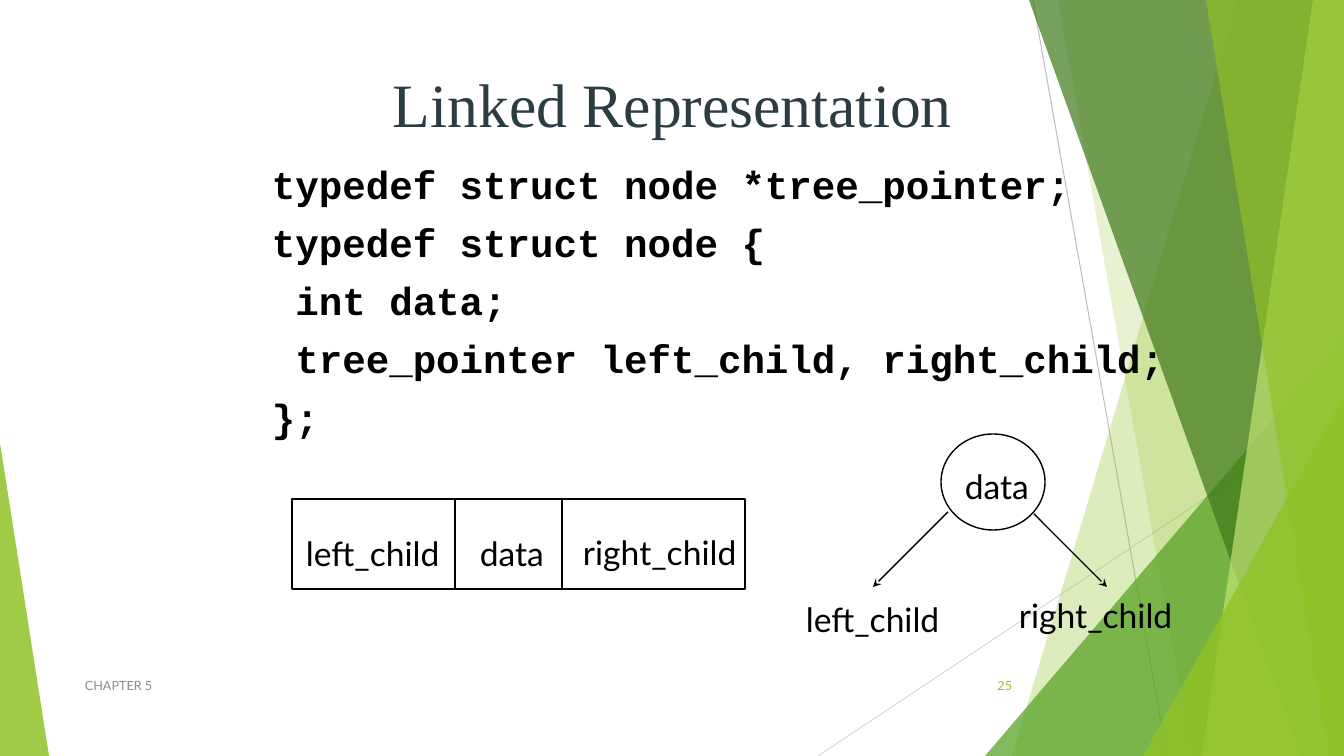
from dataclasses import dataclass

from lxml import etree
from pptx import Presentation
from pptx.dml.color import RGBColor
from pptx.enum.shapes import MSO_CONNECTOR, MSO_SHAPE
from pptx.enum.text import MSO_ANCHOR, MSO_AUTO_SIZE, PP_ALIGN
from pptx.oxml.ns import qn
from pptx.util import Pt

STRAIGHT = MSO_CONNECTOR.STRAIGHT
TRIANGLE, RECTANGLE, OVAL = MSO_SHAPE.ISOSCELES_TRIANGLE, MSO_SHAPE.RECTANGLE, MSO_SHAPE.OVAL
LEFT, CENTER, RIGHT = PP_ALIGN.LEFT, PP_ALIGN.CENTER, PP_ALIGN.RIGHT
TOP, MIDDLE = MSO_ANCHOR.TOP, MSO_ANCHOR.MIDDLE
EMU_PER_PX = 914400 / 100.8
WIDTH, HEIGHT = 1344, 756


@dataclass(frozen=True)
class Theme:
    ink: str = "000000"
    heading: str = "2C3C43"
    footer: str = "8C8C8C"
    lime: str = "90C226"
    green: str = "54A021"
    forest: str = "3F7819"
    pale: str = "C0E474"
    light_rule: str = "D9D9D9"
    dark_rule: str = "BFBFBF"
    body_font: str = "Lato"
    title_font: str = "Times New Roman"
    code_font: str = "Courier New"
    title_size: int = 44
    code_size: int = 28
    label_size: int = 24
    footer_size: int = 9


THEME = Theme()

TITLE = "Linked Representation"
CODE = [
    "typedef struct node *tree_pointer;",
    "typedef struct node {",
    " int data;",
    " tree_pointer left_child, right_child;",
    "};",
]
FOOTER, PAGE_NUMBER = "CHAPTER 5", "25"

# start x, start y, end x, end y, colour
BACKDROP_RULES = [
    (1033, 0, 1167, HEIGHT, THEME.dark_rule),
    (WIDTH, 406, 818, HEIGHT, THEME.light_rule),
]
# Bands run down the right edge: x at the top, x at the bottom, colour, opacity %
BANDS_BEHIND = [(1238, 1012, THEME.lime, 30), (1058, 1192, THEME.lime, 20)]
BANDS_IN_FRONT = [
    (1029, 1301, THEME.forest, 70),
    (1313, 1202, THEME.pale, 70),
    (1206, 1329, THEME.lime, 65),
]
# Triangles stand on the bottom edge: left, top, width, apex, colour, opacity %
TRIANGLE_BEHIND = (985, 336, 359, 1, THEME.green, 72)
TRIANGLES_IN_FRONT = [
    (1143, 396, 201, 1, THEME.lime, 80),
    (0, 443, 49, 0, THEME.lime, 85),
]

RECORD = (292, 499, 453, 90)
RECORD_DIVIDERS = [455, 562]
ROOT = (941, 434, 104, 96)
CHILD_ARROWS = [(948, 512, 873, 587), (1034, 514, 1107, 587)]
# text, left, top, width
LABELS = [
    ("data", 470, 528, 89),
    ("left_child", 296, 528, 167),
    ("right_child", 573, 527, 184),
    ("data", 955, 461, 89),
    ("left_child", 796, 594, 167),
    ("right_child", 1009, 590, 184),
]
LABEL_HEIGHT = 51


def px(length):
    return round(length * EMU_PER_PX)


def rgb(colour):
    return RGBColor.from_string(colour)


def paint(shape, colour, opacity):
    """Give a shape a translucent fill without outline or shadow."""
    shape.shadow.inherit = False
    shape.line.fill.background()
    shape.fill.solid()
    shape.fill.fore_color.rgb = rgb(colour)
    fill_colour = shape.fill._xPr.find(qn("a:solidFill"))[0]
    etree.SubElement(fill_colour, qn("a:alpha"), val=str(opacity * 1000))


def add_band(page, top_x, bottom_x, colour, opacity):
    builder = page.shapes.build_freeform(top_x, 0, scale=EMU_PER_PX)
    builder.add_line_segments([(WIDTH, 0), (WIDTH, HEIGHT), (bottom_x, HEIGHT)])
    paint(builder.convert_to_shape(), colour, opacity)


def add_triangle(page, left, top, width, apex, colour, opacity):
    shape = page.shapes.add_shape(TRIANGLE, px(left), px(top), px(width), px(HEIGHT - top))
    shape.adjustments[0] = apex
    paint(shape, colour, opacity)


def add_line(page, start_x, start_y, end_x, end_y, colour=THEME.ink, weight=1, arrow=False):
    line = page.shapes.add_connector(STRAIGHT, px(start_x), px(start_y), px(end_x), px(end_y))
    line.line.color.rgb = rgb(colour)
    line.line.width = Pt(weight)
    if arrow:
        etree.SubElement(line.line._get_or_add_ln(), qn("a:tailEnd"), type="stealth")
    etree.SubElement(line._element.spPr, qn("a:effectLst"))


def add_outline(page, kind, left, top, width, height):
    shape = page.shapes.add_shape(kind, px(left), px(top), px(width), px(height))
    shape.shadow.inherit = False
    shape.fill.background()
    shape.line.color.rgb = rgb(THEME.ink)
    shape.line.width = Pt(1)


def add_text(page, text, place, size, font=THEME.body_font, colour=THEME.ink,
             align=LEFT, anchor=TOP, bold=False, wrap=True, gap=0):
    """Add a text box; gap is the space in points between its paragraphs."""
    box = page.shapes.add_textbox(*map(px, place))
    frame = box.text_frame
    frame.text = text
    frame.word_wrap = wrap
    frame.auto_size = MSO_AUTO_SIZE.NONE if wrap else MSO_AUTO_SIZE.SHAPE_TO_FIT_TEXT
    frame.vertical_anchor = anchor
    for index, para in enumerate(frame.paragraphs):
        para.alignment = align
        para.space_before = Pt(gap if index else 0)
        for span in para.runs:
            span.font.name = font
            span.font.size = Pt(size)
            span.font.bold = bold
            span.font.color.rgb = rgb(colour)


def draw_backdrop(page):
    for *ends, colour in BACKDROP_RULES:
        add_line(page, *ends, colour=colour, weight=0.75)
    for band in BANDS_BEHIND:
        add_band(page, *band)
    add_triangle(page, *TRIANGLE_BEHIND)
    for band in BANDS_IN_FRONT:
        add_band(page, *band)
    for triangle in TRIANGLES_IN_FRONT:
        add_triangle(page, *triangle)


def draw_text(page):
    add_text(page, FOOTER, (75, 666, 695, 40), THEME.footer_size,
             colour=THEME.footer, anchor=MIDDLE)
    add_text(page, PAGE_NUMBER, (947, 666, 75, 40), THEME.footer_size,
             colour=THEME.lime, align=RIGHT, anchor=MIDDLE)
    add_text(page, TITLE, (168, 40, 1010, 126), THEME.title_size, font=THEME.title_font,
             colour=THEME.heading, align=CENTER, anchor=MIDDLE)
    add_text(page, "\n".join(CODE), (262, 155, 1010, 263), THEME.code_size,
             font=THEME.code_font, bold=True, gap=8)


def draw_diagrams(page):
    add_outline(page, RECTANGLE, *RECORD)
    top, bottom = RECORD[1], RECORD[1] + RECORD[3]
    for x in RECORD_DIVIDERS:
        add_line(page, x, top, x, bottom)
    add_outline(page, OVAL, *ROOT)
    for ends in CHILD_ARROWS:
        add_line(page, *ends, arrow=True)
    for text, left, label_top, width in LABELS:
        add_text(page, text, (left, label_top, width, LABEL_HEIGHT), THEME.label_size, wrap=False)


def main():
    deck = Presentation()
    deck.slide_width, deck.slide_height = px(WIDTH), px(HEIGHT)
    page = deck.slides.add_slide(deck.slide_layouts[6])
    draw_backdrop(page)
    draw_text(page)
    draw_diagrams(page)
    deck.save("out.pptx")


if __name__ == "__main__":
    main()
